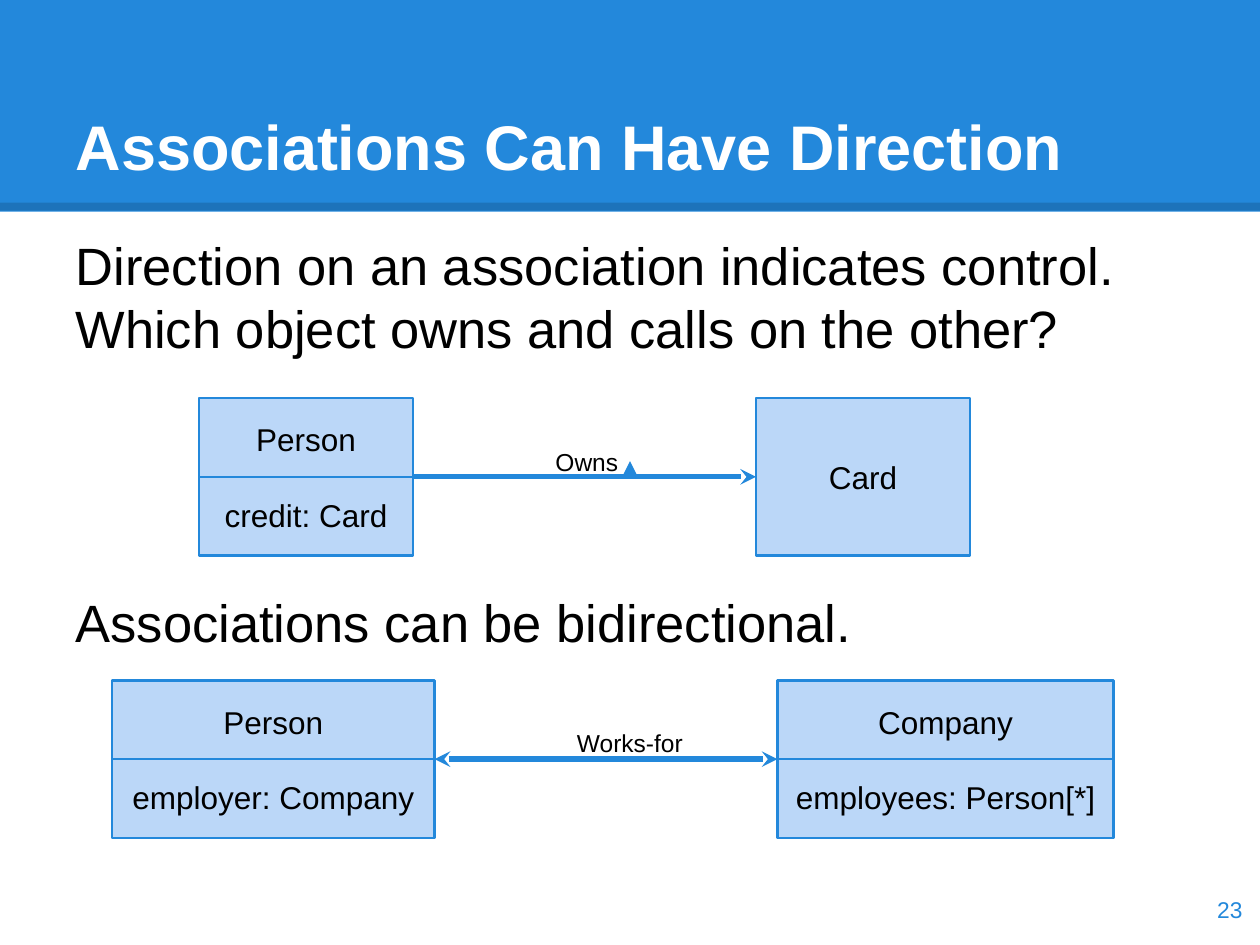
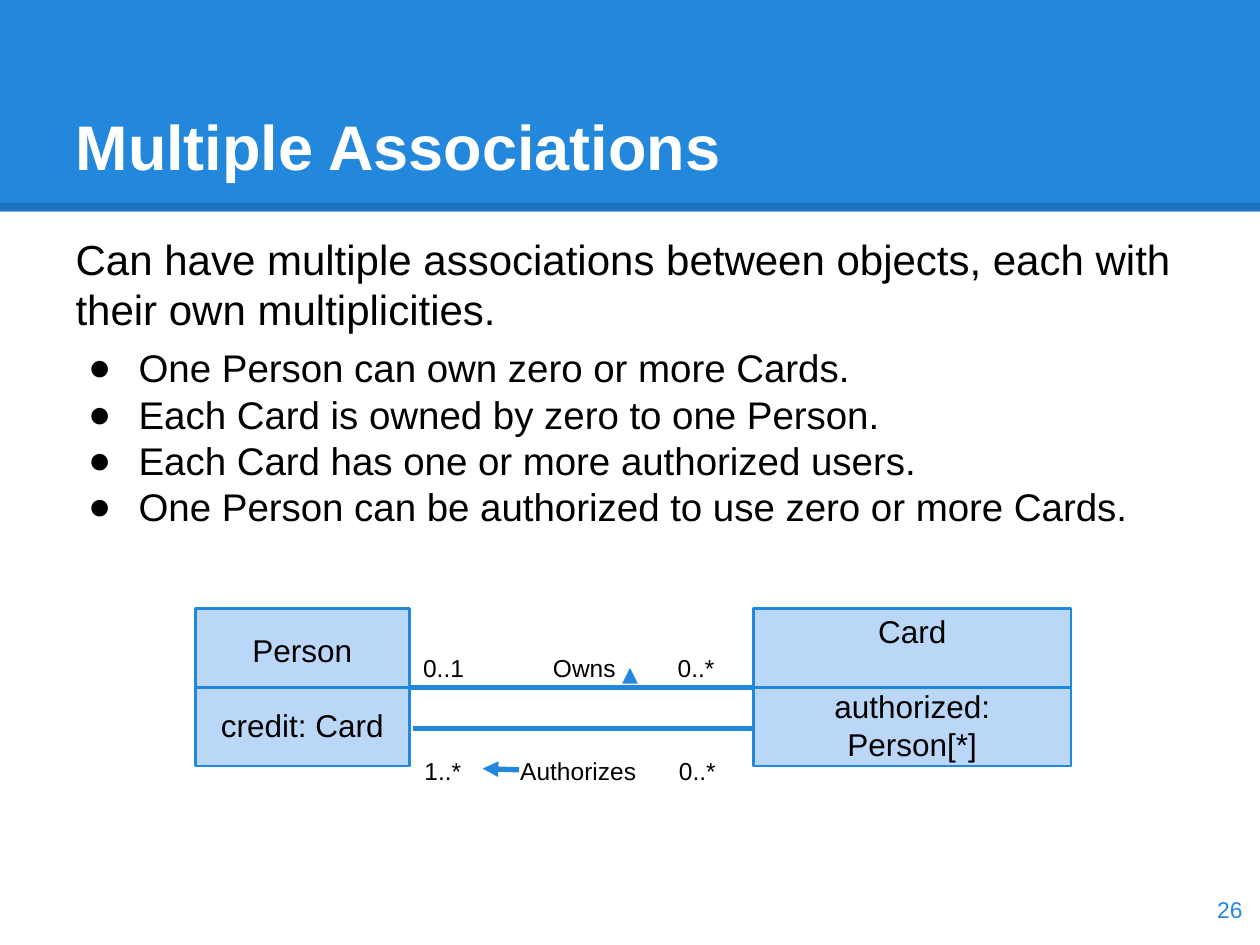
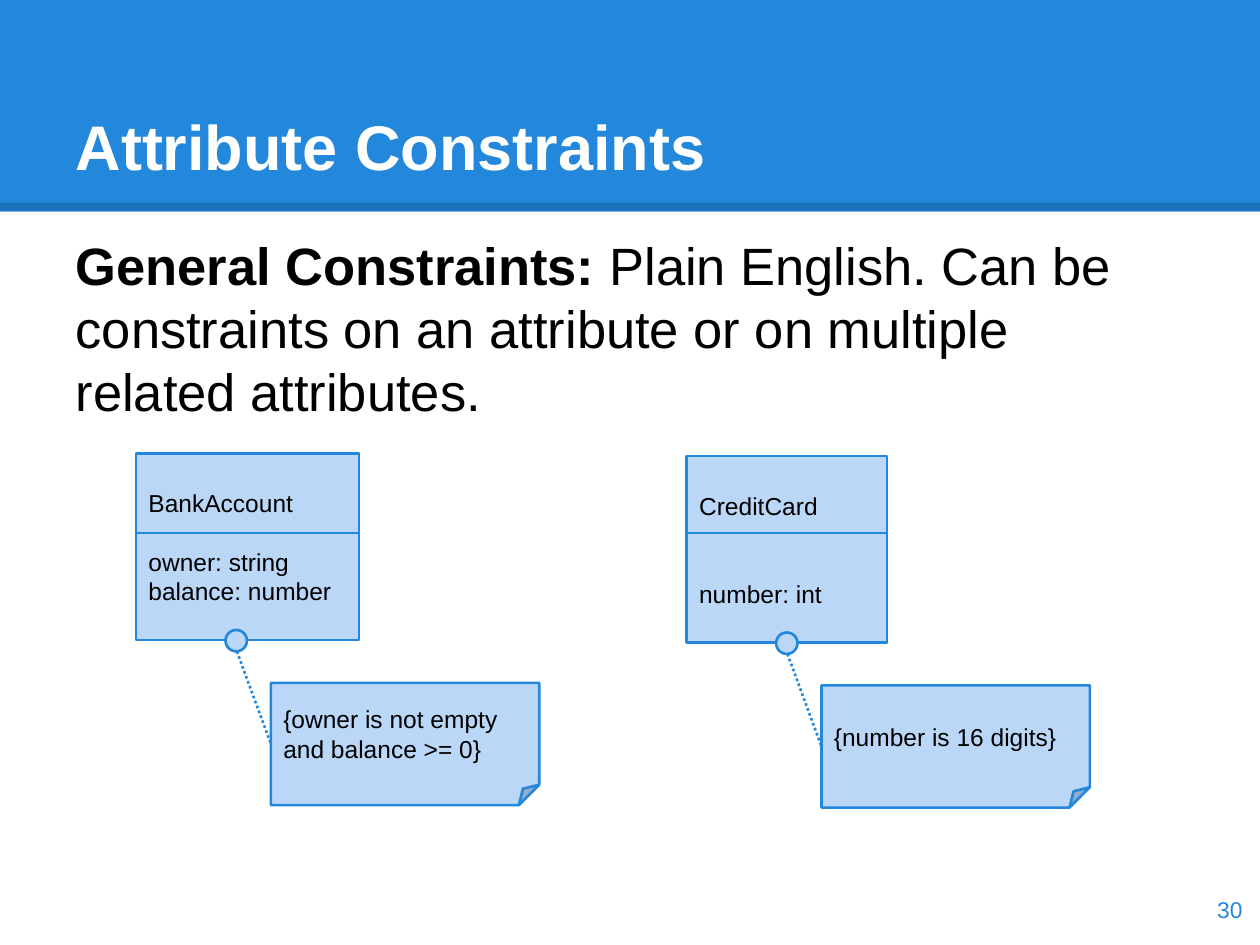
from lxml.etree import SubElement
from pptx import Presentation
from pptx.dml.color import RGBColor
from pptx.enum.dml import MSO_LINE
from pptx.enum.shapes import MSO_CONNECTOR, MSO_SHAPE as SHAPE
from pptx.enum.text import MSO_ANCHOR as ANCHOR, MSO_AUTO_SIZE, PP_ALIGN as ALIGN
from pptx.oxml.ns import qn
from pptx.util import Inches, Pt

WIDTH, HEIGHT = 10, 7.5
BLUE, PALE, BLACK, WHITE = "2388DB", "BBD7F8", "000000", "FFFFFF"
FONT = "Arial"
TOP, LEFT, BOTTOM, RIGHT = range(4)  # connection sites of a rectangle

# Body paragraph: runs as (text, bold), size, space before, bulleted
DIRECTION = dict(
    title="Associations Can Have Direction", number=23, body_width=8.87,
    body=[
        ([("Direction on an association indicates control. "
           "Which object owns and calls on the other?", False)], 30, 0, False),
        ([("Associations can be bidirectional.", False)], 30, 132, False),
    ])
MULTIPLE = dict(
    title="Multiple Associations", number=26, body_width=9,
    body=[
        ([("Can have multiple associations between objects, "
           "each with their own multiplicities.", False)], 24, 0, False),
        ([("One Person can own zero or more Cards.", False)], 22, 6, True),
        ([("Each Card is owned by zero to one Person.", False)], 22, 0, True),
        ([("Each Card has one or more authorized users.", False)], 22, 0, True),
        ([("One Person can be authorized to use zero or more Cards.", False)], 22, 0, True),
    ])
CONSTRAINTS = dict(
    title="Attribute Constraints", number=30, body_width=9,
    body=[
        ([("General Constraints: ", True),
          ("Plain English. Can be constraints on an attribute "
           "or on multiple related attributes.", False)], 30, 0, False),
    ])

# Labels around the two associations: text, left, width
OWNS_LABELS = [("Owns", 4.29, 1.55), ("0..1", 3.26, 0.57), ("0..*", 5.28, 0.69)]
AUTHORIZES_LABELS = [("Authorizes", 4.03, 1.55), ("1..*", 3.27, 0.57), ("0..*", 5.29, 0.69)]

# Class name, attributes, gap between them, left, top, width, constraint
CONSTRAINED = [
    ("BankAccount", ["owner: string", "balance: number"], 16.5, 1.08, 3.6, 1.77,
     "{owner is not empty and balance >= 0}"),
    ("CreditCard", ["number: int"], 33.5, 5.45, 3.62, 1.59, "{number is 16 digits}"),
]


def rgb(color):
    return RGBColor.from_string(color)


def inches(*lengths):
    return [Inches(length) for length in lengths]


def style(paragraph, size, color=BLACK, align=ALIGN.LEFT, before=0):
    paragraph.alignment = align
    paragraph.space_before = Pt(before)
    font = paragraph.font
    font.name, font.size, font.color.rgb = FONT, Pt(size), rgb(color)


def prepare(frame, anchor=ANCHOR.TOP):
    frame.word_wrap = True
    frame.auto_size = MSO_AUTO_SIZE.NONE
    frame.vertical_anchor = anchor
    frame.margin_left = frame.margin_right = Inches(0.1)
    frame.margin_top = frame.margin_bottom = Inches(0.1)


def write(frame, lines, size, gap=0, **look):
    """Write one paragraph a line, with the gap after the first."""
    for i, line in enumerate(lines):
        paragraph = frame.paragraphs[0] if i == 0 else frame.add_paragraph()
        paragraph.text = line
        style(paragraph, size, before=gap if i == 1 else 0, **look)


def add_label(slide, text, left, top, width, height=0.3, size=14,
              anchor=ANCHOR.TOP, **look):
    frame = slide.shapes.add_textbox(*inches(left, top, width, height)).text_frame
    prepare(frame, anchor)
    write(frame, [text], size, **look)


def add_outlined(slide, kind, left, top, width, height, lines=(), size=18,
                 gap=0, align=ALIGN.CENTER):
    shape = slide.shapes.add_shape(kind, *inches(left, top, width, height))
    shape.shadow.inherit = False
    shape.fill.solid()
    shape.fill.fore_color.rgb = rgb(PALE)
    shape.line.color.rgb = rgb(BLUE)
    shape.line.width = Pt(1.5)
    prepare(shape.text_frame, ANCHOR.MIDDLE)
    write(shape.text_frame, lines, size, gap, align=align)
    return shape


def add_line(slide, start, end, width=1.5, color=BLUE, head=None, tail=None):
    connector = slide.shapes.add_connector(
        MSO_CONNECTOR.STRAIGHT, *inches(*start, *end))
    connector.line.color.rgb = rgb(color)
    connector.line.width = Pt(width)
    properties = connector.element.spPr
    for tag, arrow in (("a:headEnd", head), ("a:tailEnd", tail)):
        if arrow:
            SubElement(properties.find(qn("a:ln")), qn(tag), type=arrow)
    SubElement(properties, qn("a:effectLst"))
    return connector


def join(slide, first, first_side, second, second_side, **look):
    connector = add_line(slide, (0, 0), (0, 0), **look)
    connector.begin_connect(first, first_side)
    connector.end_connect(second, second_side)


def add_class(slide, name, attribute, left, top, width):
    """Draw a class box, halved by a divider if it has an attribute."""
    lines = [name, attribute] if attribute else [name]
    box = add_outlined(slide, SHAPE.RECTANGLE, left, top, width, 1.25, lines, gap=21.5)
    if attribute:
        join(slide, box, LEFT, box, RIGHT)
    return box


def set_indent(paragraph, bulleted):
    properties = paragraph._p.get_or_add_pPr()
    properties.set("marL", str(Inches(0.5 if bulleted else 0)))
    properties.set("indent", str(Inches(-0.4 if bulleted else 0)))
    if bulleted:
        color = SubElement(properties, qn("a:buClr"))
        SubElement(color, qn("a:srgbClr"), val=BLACK)
        SubElement(properties, qn("a:buFont"), typeface=FONT)
        SubElement(properties, qn("a:buChar"), char="●")
    else:
        SubElement(properties, qn("a:buNone"))


def add_slide(deck, layout, content):
    slide = deck.slides.add_slide(layout)
    title, body = slide.placeholders
    title.left, title.top, title.width, title.height = inches(0.5, 0.3, 9, 1.25)
    prepare(title.text_frame, ANCHOR.BOTTOM)
    write(title.text_frame, [content["title"]], 36, color=WHITE)
    title.text_frame.paragraphs[0].font.bold = True

    body.left, body.top, body.width, body.height = inches(
        0.5, 1.75, content["body_width"], 0.97)
    frame = body.text_frame
    prepare(frame)
    for i, (runs, size, before, bulleted) in enumerate(content["body"]):
        paragraph = frame.paragraphs[0] if i == 0 else frame.add_paragraph()
        set_indent(paragraph, bulleted)
        style(paragraph, size, before=before)
        for text, bold in runs:
            run = paragraph.add_run()
            run.text, run.font.bold = text, bold

    add_label(slide, str(content["number"]), 9.36, 6.93, 0.6, 0.57, 13,
              ANCHOR.MIDDLE, color=BLUE, align=ALIGN.RIGHT)
    return slide


def move_band_to_layout(slide, layout):
    """Draw the title band and its shaded edge, then hand them to the layout."""
    band = slide.shapes.add_shape(SHAPE.RECTANGLE, *inches(0, 0, WIDTH, 1.68))
    band.shadow.inherit = False
    band.fill.solid()
    band.fill.fore_color.rgb = rgb(BLUE)
    band.line.fill.background()
    edge = add_line(slide, (0, 1.64), (WIDTH, 1.64), 4.5, BLACK)
    shade = edge.element.spPr.find(".//" + qn("a:srgbClr"))
    SubElement(shade, qn("a:alpha"), val="15000")
    for i, part in enumerate((band, edge)):
        part.element.find(".//" + qn("p:cNvPr")).set("id", str(20 + i))
        layout.shapes.element.insert(2 + i, part.element)


def draw_directions(slide):
    person = add_class(slide, "Person", "credit: Card", 1.58, 3.16, 1.7)
    card = add_class(slide, "Card", None, 6, 3.16, 1.7)
    join(slide, person, RIGHT, card, LEFT, width=3, tail="stealth")
    add_label(slide, "Owns", 4.31, 3.45, 1.55)
    add_line(slide, (5, 3.69), (5, 3.66), 3, tail="triangle")

    employee = add_class(slide, "Person", "employer: Company", 0.89, 5.4, 2.56)
    company = add_class(slide, "Company", "employees: Person[*]", 6.17, 5.4, 2.67)
    join(slide, employee, RIGHT, company, LEFT, width=3, head="stealth", tail="stealth")
    add_label(slide, "Works-for", 4.48, 5.68, 1.55)


def draw_multiplicities(slide):
    person = add_class(slide, "Person", "credit: Card", 1.55, 4.83, 1.7)
    card = add_class(slide, "Card", "authorized: Person[*]", 5.98, 4.83, 2.52)
    join(slide, person, RIGHT, card, LEFT, width=3)
    add_line(slide, (5.97, 5.78), (3.28, 5.78), 3)
    for labels, top in ((OWNS_LABELS, 5.08), (AUTHORIZES_LABELS, 5.9)):
        for text, left, width in labels:
            add_label(slide, text, left, top, width)
    add_line(slide, (5, 5.32), (5, 5.3), 3, tail="triangle")
    add_line(slide, (4.12, 6.11), (3.83, 6.1), 3, tail="triangle")


def draw_constraints(slide):
    divider, knob = 4.23, 0.17
    for name, attributes, gap, left, top, width, constraint in CONSTRAINED:
        add_outlined(slide, SHAPE.RECTANGLE, left, top, width, 1.48,
                     [name, *attributes], 14, gap, ALIGN.LEFT)
        add_line(slide, (left, divider), (left + width, divider))
        note = add_outlined(slide, SHAPE.FOLDED_CORNER, left + 1.07, top + 1.82,
                            2.13, 0.97, [constraint], 14, align=ALIGN.LEFT)
        add_outlined(slide, SHAPE.OVAL, left + 0.71, top + 1.4, knob, knob)
        link = add_line(slide, (left + 0.8, top + 1.4 + knob), (left + 1.07, top + 2.3))
        link.line.dash_style = MSO_LINE.ROUND_DOT
        link.end_connect(note, LEFT)


def main():
    deck = Presentation()
    deck.slide_width, deck.slide_height = inches(WIDTH, HEIGHT)
    layout = deck.slide_layouts[1]
    pages = [(DIRECTION, draw_directions), (MULTIPLE, draw_multiplicities),
             (CONSTRAINTS, draw_constraints)]
    for content, draw in pages:
        draw(add_slide(deck, layout, content))
    move_band_to_layout(deck.slides[0], layout)
    deck.save("out.pptx")


if __name__ == "__main__":
    main()
